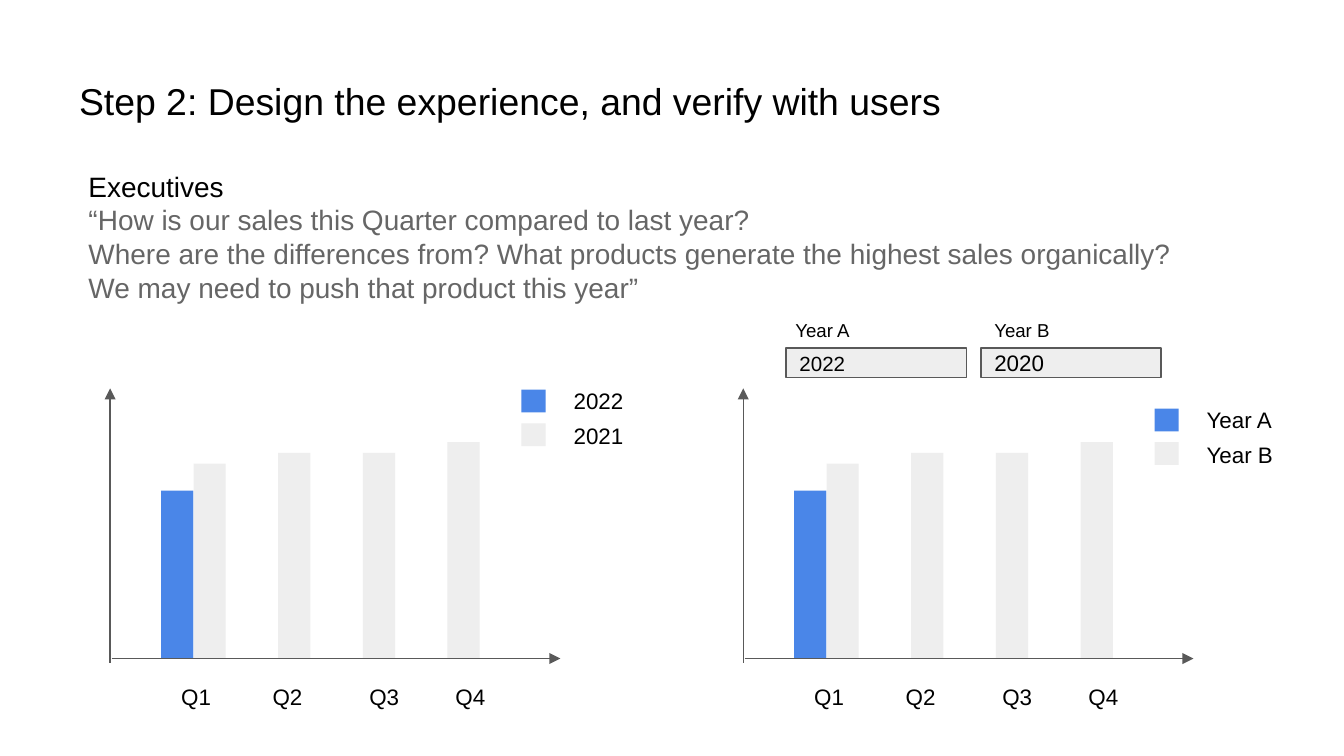
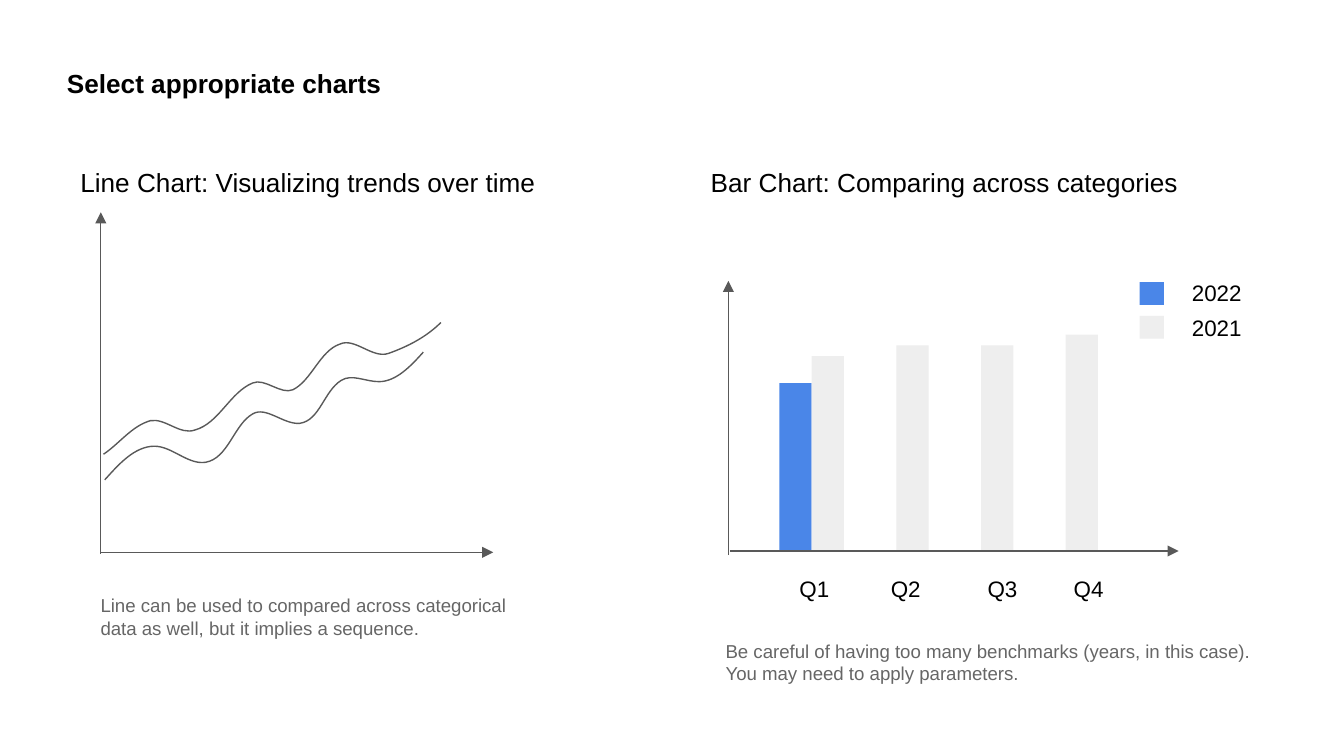
from typing import NamedTuple

from lxml.etree import SubElement
from pptx import Presentation
from pptx.dml.color import RGBColor
from pptx.enum.shapes import MSO_CONNECTOR, MSO_SHAPE
from pptx.enum.text import MSO_ANCHOR, MSO_AUTO_SIZE, PP_ALIGN
from pptx.oxml.ns import qn
from pptx.shapes.autoshape import Shape
from pptx.slide import Slide
from pptx.util import Inches, Pt

BLACK = RGBColor(0x00, 0x00, 0x00)
GRAY = RGBColor(0x66, 0x66, 0x66)
DARK = RGBColor(0x59, 0x59, 0x59)
BLUE = RGBColor(0x4A, 0x86, 0xE8)
LIGHT = RGBColor(0xEE, 0xEE, 0xEE)
FONT = "Arial"
STROKE = Pt(0.75)
BASE = 2.01

Point = tuple[float, float]


class Bar(NamedTuple):
    left: float
    height: float
    color: RGBColor


class Label(NamedTuple):
    text: str
    left: float


class Panel(NamedTuple):
    left: float
    top: float
    keys: tuple[str, str]
    drop: float = 0


class Field(NamedTuple):
    left: float
    name: str
    shift: float
    value: str
    size: int


class Note(NamedTuple):
    text: str
    left: float
    top: float
    width: float
    height: float
    size: int
    color: RGBColor = BLACK
    bold: bool = False


BARS = [
    Bar(0.38, 1.25, BLUE),
    Bar(0.62, 1.45, LIGHT),
    Bar(1.25, 1.53, LIGHT),
    Bar(1.88, 1.53, LIGHT),
    Bar(2.51, 1.61, LIGHT),
]
LABELS = [Label("Q1", 0.43), Label("Q2", 1.11), Label("Q3", 1.83), Label("Q4", 2.47)]
FIELDS = [
    Field(5.85, "Year A", -0.03, "2022", 11),
    Field(7.3, "Year B", 0, "2020", 12),
]
QUOTE = "\n".join([
    "Executives",
    "“How is our sales this Quarter compared to last year?",
    "Where are the differences from? What products generate the highest sales organically?",
    "We may need to push that product this year”",
])
NOTES = [
    Note("Select appropriate charts", 0.4, 0.4, 5.04, 0.44, 14, bold=True),
    Note("Line Chart: Visualizing trends over time", 0.5, 1.14, 4.6, 0.44, 14),
    Note("Bar Chart: Comparing across categories", 5.19, 1.14, 4.6, 0.44, 14),
    Note("Line can be used to compared across categorical data as well, "
         "but it implies a sequence.", 0.65, 4.32, 3.5, 0.54, 10, GRAY),
    Note("Be careful of having too many benchmarks (years, in this case). "
         "You may need to apply parameters.", 5.3, 4.66, 4.11, 0.54, 10, GRAY),
]
TRENDS: list[list[Point]] = [
    [(0.77, 3.38), (0.89, 3.3), (0.98, 3.17), (1.12, 3.13),
     (1.23, 3.11), (1.34, 3.24), (1.45, 3.2),
     (1.63, 3.15), (1.71, 2.92), (1.88, 2.85),
     (1.97, 2.81), (2.09, 2.94), (2.18, 2.9),
     (2.32, 2.83), (2.38, 2.61), (2.53, 2.56),
     (2.64, 2.51), (2.77, 2.67), (2.89, 2.63),
     (3.03, 2.58), (3.17, 2.51), (3.28, 2.4)],
    [(0.78, 3.57), (0.88, 3.46), (1, 3.32), (1.15, 3.32),
     (1.28, 3.32), (1.4, 3.46), (1.53, 3.44),
     (1.7, 3.41), (1.74, 3.16), (1.88, 3.08),
     (1.98, 3.02), (2.11, 3.16), (2.23, 3.15),
     (2.38, 3.13), (2.41, 2.91), (2.54, 2.83),
     (2.62, 2.78), (2.72, 2.84), (2.82, 2.84),
     (2.95, 2.84), (3.06, 2.72), (3.15, 2.62)],
]


def write(shape: Shape, text: str, size: int, color: RGBColor = BLACK,
          bold: bool = False) -> None:
    frame = shape.text_frame
    frame.text = text
    frame.word_wrap = True
    frame.margin_left = frame.margin_right = Inches(0.1)
    frame.margin_top = frame.margin_bottom = Inches(0.1)
    for para in frame.paragraphs:
        para.alignment = PP_ALIGN.LEFT
        for run in para.runs:
            run.font.name = FONT
            run.font.size = Pt(size)
            run.font.bold = bold
            run.font.color.rgb = color


def add_note(slide: Slide, note: Note) -> Shape:
    box = slide.shapes.add_textbox(Inches(note.left), Inches(note.top),
                                   Inches(note.width), Inches(note.height))
    write(box, note.text, note.size, note.color, note.bold)
    box.text_frame.auto_size = MSO_AUTO_SIZE.SHAPE_TO_FIT_TEXT
    return box


def add_rect(slide: Slide, left: float, top: float, width: float, height: float,
             color: RGBColor) -> Shape:
    rect = slide.shapes.add_shape(MSO_SHAPE.RECTANGLE, Inches(left), Inches(top),
                                  Inches(width), Inches(height))
    rect.shadow.inherit = False
    rect.fill.solid()
    rect.fill.fore_color.rgb = color
    rect.line.fill.background()
    return rect


def set_line(shape: Shape) -> None:
    shape.line.color.rgb = DARK
    shape.line.width = STROKE


def add_axis(slide: Slide, start: Point, tip: Point) -> None:
    axis = slide.shapes.add_connector(MSO_CONNECTOR.STRAIGHT,
                                      *map(Inches, start + tip))
    set_line(axis)
    SubElement(axis.line._get_or_add_ln(), qn("a:tailEnd"), type="triangle")
    SubElement(axis._element.spPr, qn("a:effectLst"))


def add_curve(slide: Slide, points: list[Point]) -> None:
    spots = [(Inches(x), Inches(y)) for x, y in points]
    pen = slide.shapes.build_freeform(*spots[0])
    pen.add_line_segments(spots[1:], close=False)
    curve = pen.convert_to_shape()
    curve.shadow.inherit = False
    curve.fill.background()
    set_line(curve)
    route = curve._element.find(".//" + qn("a:path"))
    steps = route.findall(qn("a:lnTo"))
    for i in range(0, len(steps), 3):
        bend = SubElement(route, qn("a:cubicBezTo"))
        for step in steps[i:i + 3]:
            bend.append(step[0])
            route.remove(step)


def add_panel(slide: Slide, panel: Panel) -> None:
    left, top = panel.left, panel.top
    base = top + BASE
    for bar in BARS:
        add_rect(slide, left + bar.left, base - bar.height, 0.24, bar.height, bar.color)
    add_axis(slide, (left, base + 0.03), (left, top))
    add_axis(slide, (left + 0.01, base), (left + 3.35, base))
    for label in LABELS:
        add_note(slide, Note(label.text, left + label.left, base + 0.08, 0.43, 0.4, 12))
    for i, (key, color) in enumerate(zip(panel.keys, (BLUE, LIGHT))):
        y = top + panel.drop
        add_rect(slide, left + 3.06, y + 0.01 + i * 0.25, 0.18, 0.17, color)
        add_note(slide, Note(key, left + 3.35, y - 0.11 + i * 0.26, 0.76, 0.4, 12))


def add_field(slide: Slide, field: Field) -> None:
    rect = add_rect(slide, field.left, 2.59, 1.34, 0.22, LIGHT)
    set_line(rect)
    write(rect, field.value, field.size)
    rect.text_frame.vertical_anchor = MSO_ANCHOR.MIDDLE
    add_note(slide, Note(field.name, field.left + field.shift, 2.29, 0.82, 0.37, 10))


def draw_design(slide: Slide) -> None:
    add_note(slide, Note("Step 2: Design the experience, and verify with users",
                         0.49, 0.48, 8.56, 0.54, 20))
    quote = add_note(slide, Note(QUOTE, 0.56, 1.16, 8.41, 1.21, 15, GRAY))
    quote.text_frame.paragraphs[0].runs[0].font.color.rgb = BLACK
    add_panel(slide, Panel(0.82, 2.89, ("2022", "2021")))
    add_panel(slide, Panel(5.53, 2.89, ("Year A", "Year B"), 0.14))
    for field in FIELDS:
        add_field(slide, field)


def draw_charts(slide: Slide) -> None:
    for note in NOTES:
        add_note(slide, note)
    add_axis(slide, (0.75, 4.12), (0.75, 1.58))
    add_axis(slide, (0.75, 4.11), (3.67, 4.11))
    for trend in TRENDS:
        add_curve(slide, trend)
    add_panel(slide, Panel(5.42, 2.09, ("2022", "2021")))


def main() -> None:
    deck = Presentation()
    deck.slide_width = Inches(10)
    deck.slide_height = Inches(10 * 9 / 16)
    for draw in (draw_design, draw_charts):
        draw(deck.slides.add_slide(deck.slide_layouts[6]))
    deck.save("out.pptx")


if __name__ == "__main__":
    main()
